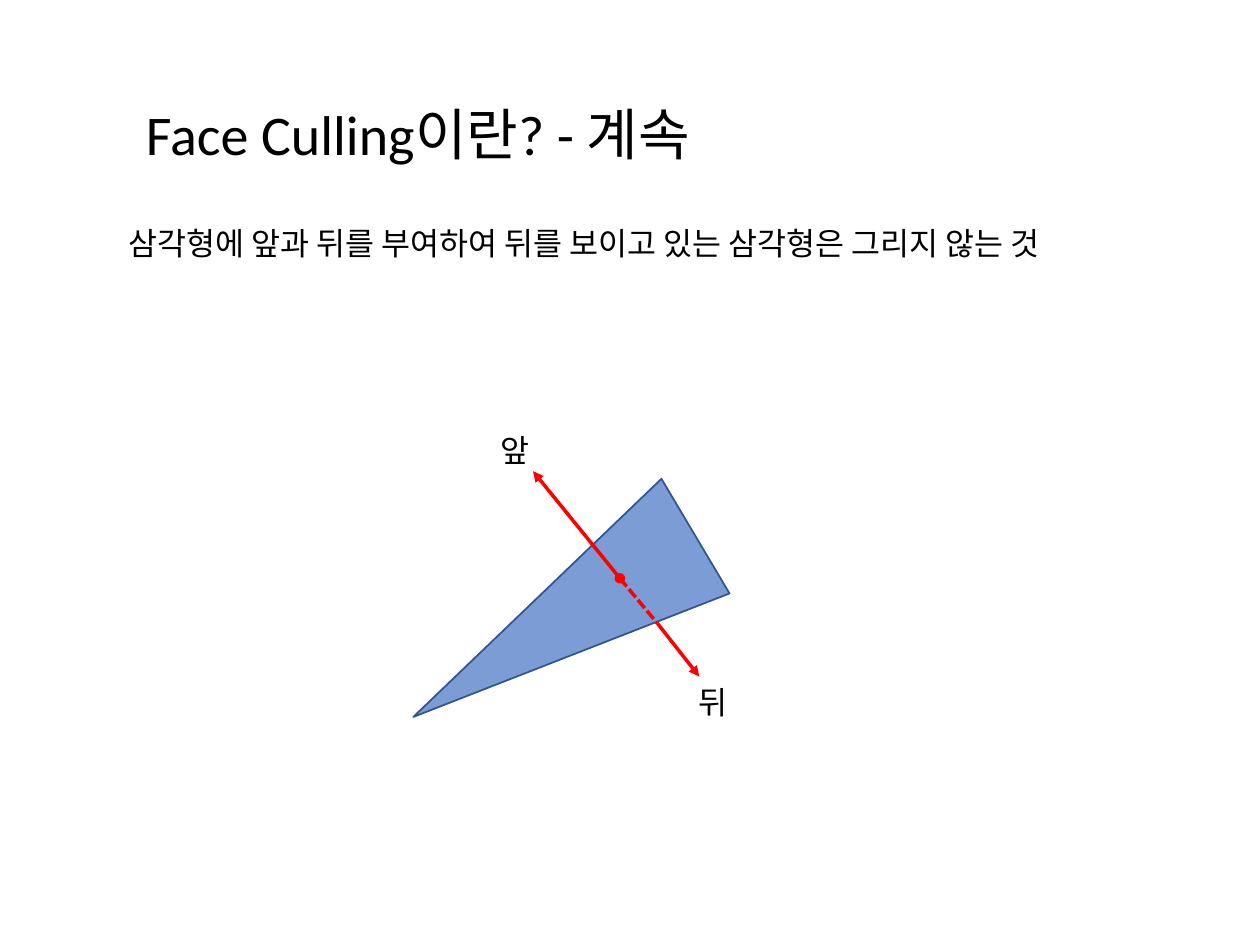
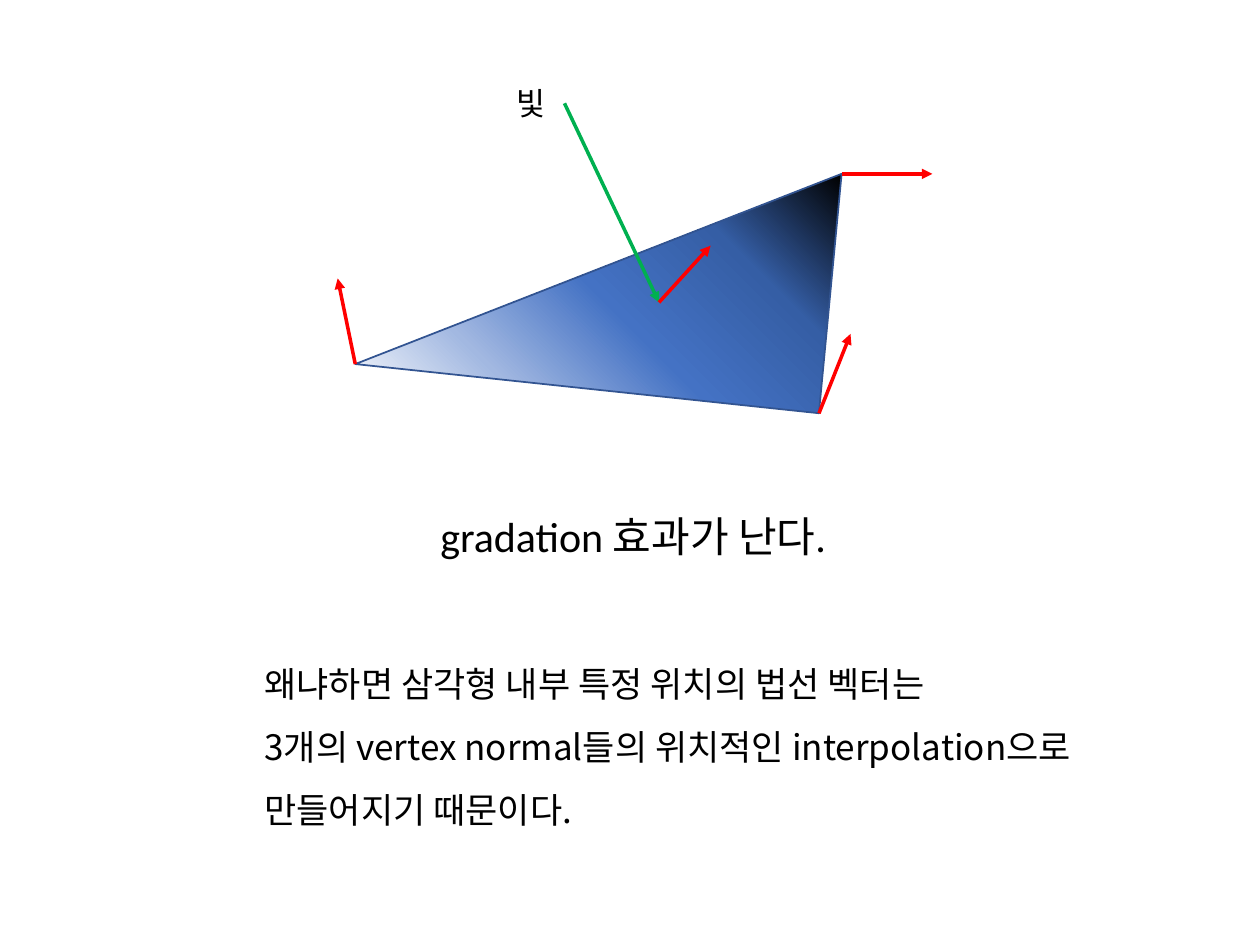
from copy import deepcopy
from dataclasses import dataclass

from lxml import etree
from pptx import Presentation
from pptx import util as u
from pptx.dml.color import RGBColor
from pptx.enum import dml, shapes, text
from pptx.oxml.ns import qn


@dataclass(frozen=True)
class Theme:
    ink: str = "000000"
    face: str = "4472C4"
    edge: str = "325491"
    normal: str = "FF0000"
    light: str = "00B050"
    shade: tuple = ("000000", "355EA5", "4472C4", "A2B8E1", "FFFFFF")
    font: str = "Calibri"
    hangul: str = "Noto Sans CJK KR"
    title: int = 32
    lead: int = 24
    body: int = 20
    label: int = 18
    thin: int = 1
    thick: int = 2


class Deck:
    cols, rows = 10, 7.5

    def __init__(self, theme):
        self.theme = theme
        self.file = Presentation()
        self.file.slide_width = u.Inches(10)
        self.file.slide_height = u.Inches(7.5)
        self.slide = None

    def page(self):
        self.slide = self.file.slides.add_slide(self.file.slide_layouts[6])

    def x(self, col):
        return round(self.file.slide_width * col / self.cols)

    def y(self, row):
        return round(self.file.slide_height * row / self.rows)

    def spot(self, point):
        return self.x(point[0]), self.y(point[1])

    def prose(self, words, place, size, font=None, center=False, gap=None):
        left, top, width, height = place
        box = self.slide.shapes.add_textbox(
            self.x(left), self.y(top), self.x(width), self.y(height))
        frame = box.text_frame
        frame.word_wrap = True
        frame.auto_size = text.MSO_AUTO_SIZE.SHAPE_TO_FIT_TEXT
        frame.text = words
        for para in frame.paragraphs:
            para.font.name = font or self.theme.font
            para.font.size = u.Pt(size)
            para.font.color.rgb = RGBColor.from_string(self.theme.ink)
            if center:
                para.alignment = text.PP_ALIGN.CENTER
            if gap:
                para.line_spacing = gap

    def label(self, words, left, top, width, center=True):
        self.prose(words, (left, top, width, 0.4), self.theme.label, center=center)

    def face(self, points):
        first, *rest = [self.spot(point) for point in points]
        outline = self.slide.shapes.build_freeform(*first)
        outline.add_line_segments(rest, close=True)
        shape = outline.convert_to_shape()
        shape.shadow.inherit = False
        shape.line.color.rgb = RGBColor.from_string(self.theme.edge)
        shape.line.width = u.Pt(self.theme.thin)
        return shape

    def tint(self, shape, color, alpha):
        shape.fill.solid()
        shape.fill.fore_color.rgb = RGBColor.from_string(color)
        tone = shape.element.spPr.find(qn("a:solidFill"))[0]
        etree.SubElement(tone, qn("a:alpha"), val=str(alpha * 1000))

    def blend(self, shape, colors, angle):
        fill = shape.fill
        fill.gradient()
        fill.gradient_angle = angle
        stops = shape.element.spPr.find(qn("a:gradFill")).find(qn("a:gsLst"))
        while len(stops) < len(colors):
            stops.append(deepcopy(stops[0]))
        for index, (stop, color) in enumerate(zip(fill.gradient_stops, colors)):
            stop.position = index / (len(colors) - 1)
            stop.color.rgb = RGBColor.from_string(color)

    def ray(self, start, end, color=None, head=None, tail="triangle", dash=None):
        line = self.slide.shapes.add_connector(
            shapes.MSO_CONNECTOR.STRAIGHT, *self.spot(start), *self.spot(end))
        line.line.color.rgb = RGBColor.from_string(color or self.theme.normal)
        line.line.width = u.Pt(self.theme.thick)
        if dash:
            line.line.dash_style = dash
        props = line.element.spPr
        stroke = props.find(qn("a:ln"))
        for name, kind in (("a:headEnd", head), ("a:tailEnd", tail)):
            if kind:
                etree.SubElement(stroke, qn(name), type=kind)
        etree.SubElement(props, qn("a:effectLst"))


def culling(deck):
    theme = deck.theme
    deck.page()
    deck.prose("Face Culling이란? - 계속", (1.06, 0.74, 7.88, 0.64), theme.title)
    deck.label("삼각형에 앞과 뒤를 부여하여 뒤를 보이고 있는 삼각형은 그리지 않는 것",
               0.92, 1.73, 8.19, center=False)
    face = deck.face([(5.25, 3.8), (3.28, 5.69), (5.79, 4.71)])
    deck.tint(face, theme.face, 70)
    core, rim = (4.92, 4.59), (5.22, 4.95)
    deck.ray(core, (4.23, 3.74), head="oval")
    deck.ray(core, rim, tail=None, dash=dml.MSO_LINE.SQUARE_DOT)
    deck.ray(rim, (5.55, 5.37))
    deck.label("앞", 3.76, 3.37, 0.66)
    deck.label("뒤", 5.33, 5.37, 0.66)


def shading(deck):
    theme = deck.theme
    deck.page()
    top, left, base = (6.68, 1.38), (2.82, 2.89), (6.5, 3.28)
    hit = (5.23, 2.4)
    deck.blend(deck.face([top, left, base]), theme.shade, 225)
    deck.ray((4.48, 0.82), hit, theme.light)
    deck.label("빛", 4, 0.62, 0.48, center=False)
    tips = (2.68, 2.21), (7.4, 1.38), (6.75, 2.65), (5.64, 1.95)
    for start, tip in zip((left, top, base, hit), tips):
        deck.ray(start, tip)
    deck.prose("gradation 효과가 난다.", (0.74, 3.8, 8.57, 0.71), theme.lead,
               center=True, gap=1.5)
    deck.prose("왜냐하면 삼각형 내부 특정 위치의 법선 벡터는\n"
               "3개의 vertex normal들의 위치적인 interpolation으로\n"
               "만들어지기 때문이다.",
               (2, 5.04, 6.86, 1.62), theme.body, theme.hangul, gap=1.5)


def main():
    deck = Deck(Theme())
    culling(deck)
    shading(deck)
    deck.file.save("out.pptx")


if __name__ == "__main__":
    main()
